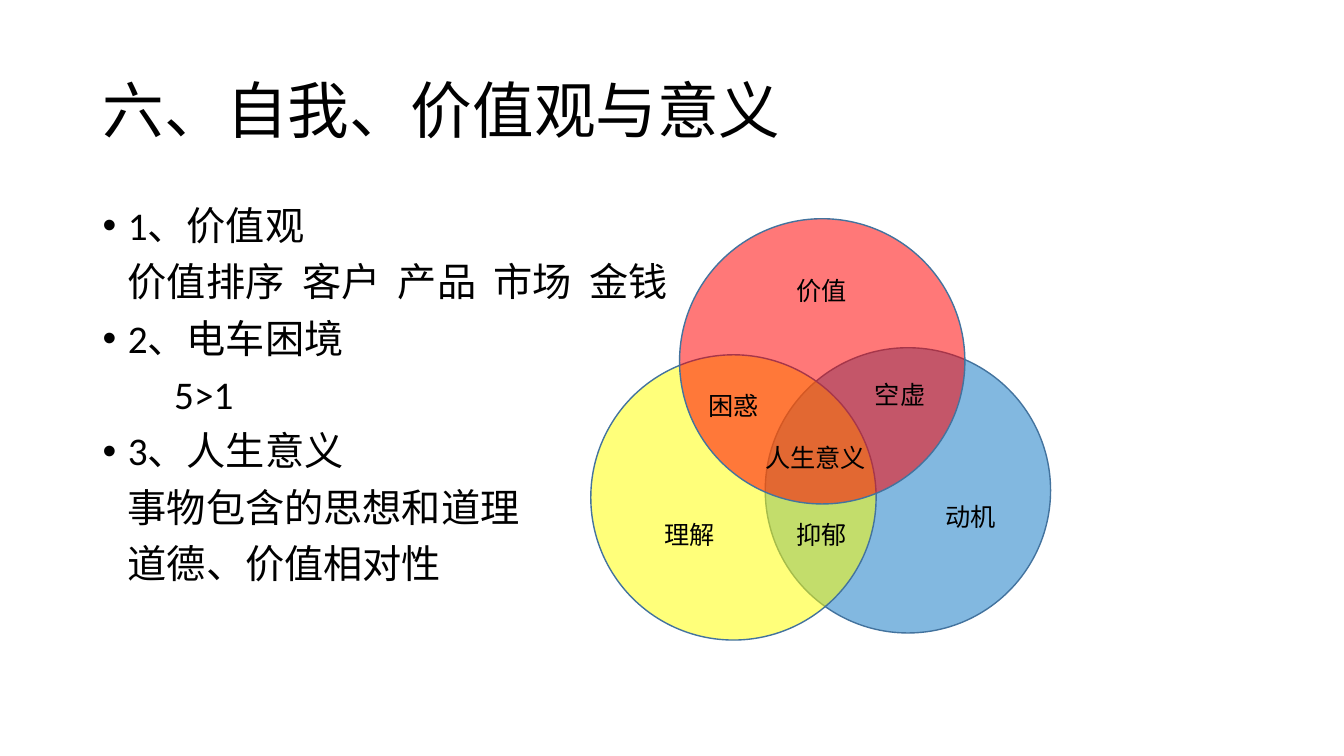
from lxml import etree
from pptx import Presentation
from pptx.dml.color import RGBColor
from pptx.enum import shapes, text
from pptx.oxml.ns import qn
from pptx.util import Inches, Pt

COLORS = {"ink": "000000", "outline": "43739E", "motive": "0070C0",
          "understanding": "FFFF00", "value": "FF0000"}
FONT = "Calibri"
DIAMETER = 2.83
CIRCLES = [("motive", 7.59, 3.45, 49), ("understanding", 5.86, 3.52, 52),
           ("value", 6.74, 2.17, 53)]
LABELS = [("理解", 6.49, 5.1, 0.7), ("动机", 9.28, 4.92, 0.7),
          ("价值", 7.8, 2.68, 0.7), ("困惑", 6.93, 3.82, 0.7),
          ("空虚", 8.58, 3.71, 0.7), ("抑郁", 7.8, 5.1, 0.7),
          ("人生意义", 7.49, 4.34, 1.2)]
OUTLINE = [("1、价值观", 0.25, True),
           ("价值排序 客户 产品 市场 金钱", 0.25, False),
           ("2、电车困境", 0.25, True), ("5>1", 0.71, False),
           ("3、人生意义", 0.25, True),
           ("事物包含的思想和道理", 0.25, False),
           ("道德、价值相对性", 0.25, False)]


class VennPage:
    """Draws styled elements on one title-only slide."""

    def __init__(self, deck):
        self.page = deck.slides.add_slide(deck.slide_layouts[5])

    def color(self, name):
        return RGBColor.from_string(COLORS[name])

    def span(self, para, words, size):
        span = para.add_run()
        span.text = words
        span.font.name = FONT
        span.font.size = Pt(size)
        span.font.color.rgb = self.color("ink")
        return span

    def title(self, words, left, top, width, height):
        box = self.page.shapes.title
        box.left, box.top = Inches(left), Inches(top)
        box.width, box.height = Inches(width), Inches(height)
        frame = box.text_frame
        frame.auto_size = text.MSO_AUTO_SIZE.NONE
        frame.vertical_anchor = text.MSO_ANCHOR.MIDDLE
        para = frame.paragraphs[0]
        para.alignment = text.PP_ALIGN.LEFT
        para.line_spacing = 0.9
        self.span(para, words, 44)

    def text_frame(self, left, top, width, height, wrap):
        box = self.page.shapes.add_textbox(
            Inches(left), Inches(top), Inches(width), Inches(height))
        box.text_frame.word_wrap = wrap
        return box.text_frame

    def outline(self, rows, left, top, width, height):
        frame = self.text_frame(left, top, width, height, True)
        for index, (words, indent, bulleted) in enumerate(rows):
            para = frame.add_paragraph() if index else frame.paragraphs[0]
            para.line_spacing = 0.9
            para.space_before = Pt(10)
            self.indent(para, indent, bulleted)
            for place, word in enumerate(words.split(" ")):
                if place:
                    gap = self.span(para, " ", 28)
                    gap.font._element.set("spc", "630")
                self.span(para, word, 28)

    def indent(self, para, indent, bulleted):
        props = para._p.get_or_add_pPr()
        props.set("marL", str(Inches(indent)))
        props.set("indent", str(Inches(-indent if bulleted else 0)))
        if bulleted:
            etree.SubElement(props, qn("a:buFont")).set("typeface", "Arial")
            etree.SubElement(props, qn("a:buChar")).set("char", "•")
        else:
            etree.SubElement(props, qn("a:buNone"))

    def circle(self, name, left, top, opacity):
        disc = self.page.shapes.add_shape(
            shapes.MSO_SHAPE.OVAL, Inches(left), Inches(top),
            Inches(DIAMETER), Inches(DIAMETER))
        disc.shadow.inherit = False
        disc.fill.solid()
        disc.fill.fore_color.rgb = self.color(name)
        tint = disc._element.spPr.find(qn("a:solidFill"))[0]
        etree.SubElement(tint, qn("a:alpha")).set("val", str(opacity * 1000))
        disc.line.color.rgb = self.color("outline")
        disc.line.width = Pt(1)

    def label(self, words, left, top, width):
        frame = self.text_frame(left, top, width, 0.4, False)
        frame.auto_size = text.MSO_AUTO_SIZE.SHAPE_TO_FIT_TEXT
        self.span(frame.paragraphs[0], words, 18)


def main():
    deck = Presentation()
    deck.slide_width, deck.slide_height = Inches(13.33), Inches(7.5)
    venn = VennPage(deck)
    venn.title("六、自我、价值观与意义", 0.92, 0.4, 11.5, 1.45)
    venn.outline(OUTLINE, 0.92, 2, 11.5, 4.76)
    for circle in CIRCLES:
        venn.circle(*circle)
    for label in LABELS:
        venn.label(*label)
    deck.save("out.pptx")


if __name__ == "__main__":
    main()
